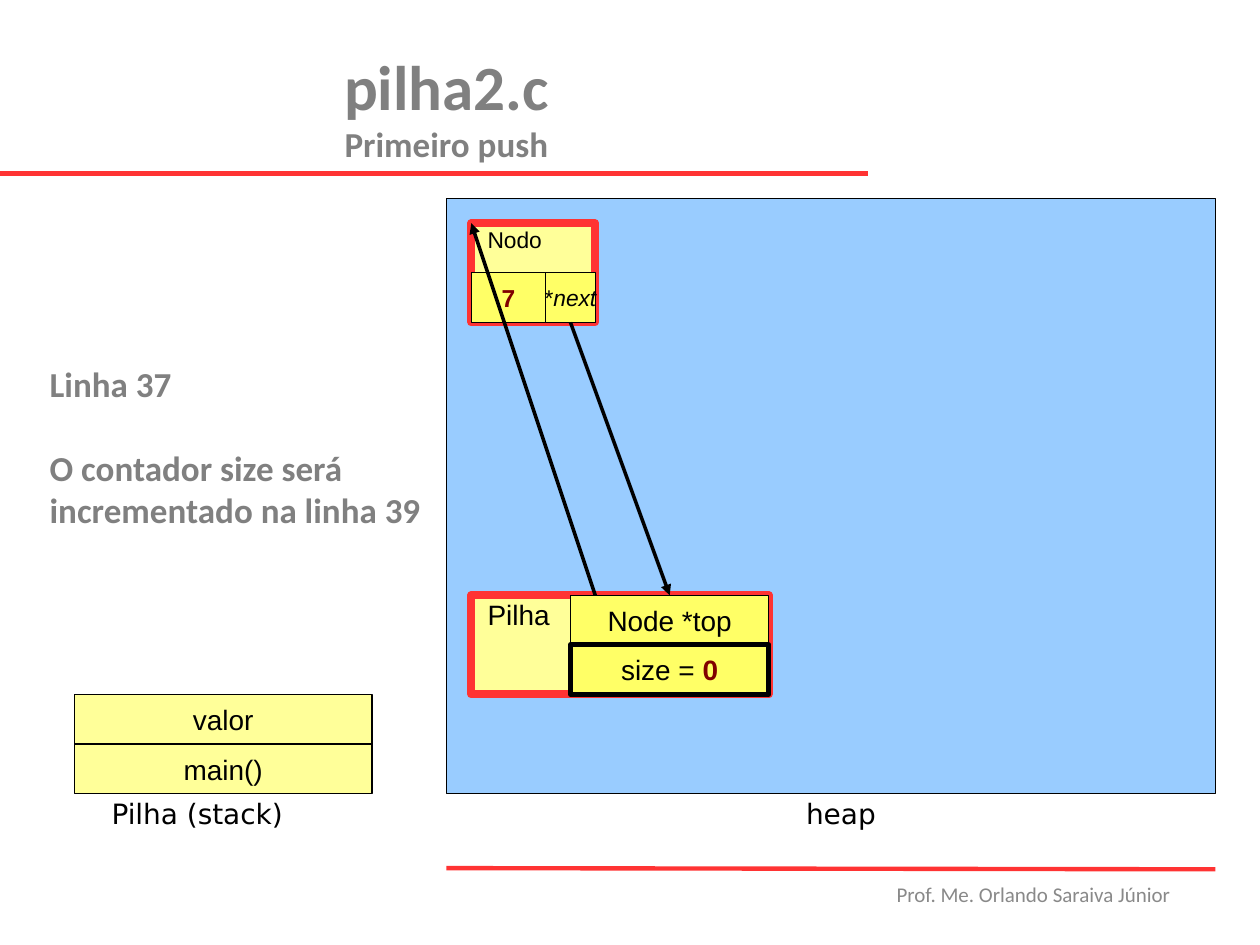
from lxml.etree import SubElement
from pptx import Presentation
from pptx.dml.color import RGBColor
from pptx.enum.shapes import MSO_CONNECTOR, MSO_SHAPE
from pptx.enum.text import MSO_ANCHOR, MSO_AUTO_SIZE, PP_ALIGN
from pptx.oxml.ns import qn
from pptx.util import Cm, Inches, Pt

RED, BLACK, GREY, MAROON = "FF3333", "000000", "808080", "800000"
PALE, YELLOW, BLUE = "FFFF99", "FFFF66", "99CCFF"
HEADING = {"name": "Calibri", "color": GREY, "bold": True, "size": 20}
CAPTION = {"name": "DejaVu Sans"}


def color(value):
    return RGBColor.from_string(value)


def cells(count):
    return Cm(count * 0.5)


class Diagram:
    def __init__(self, page):
        self.page = page
        self.shapes = page.shapes
        self.style = {"name": "Arial", "size": 16, "color": BLACK}

    def set_values(self, item, values):
        for key, value in values.items():
            setattr(item, key, value)

    def place(self, item, column, row, width, height):
        names = ("left", "top", "width", "height")
        self.set_values(item, dict(zip(names, map(cells, (column, row, width, height)))))

    def frame(self, item, anchor, wrap=True, margins=(0.1, 0.05)):
        side, edge = map(Inches, margins)
        self.set_values(item.text_frame, {
            "word_wrap": wrap, "auto_size": MSO_AUTO_SIZE.NONE, "vertical_anchor": anchor,
            "margin_left": side, "margin_right": side,
            "margin_top": edge, "margin_bottom": edge})
        return item.text_frame

    def add_spans(self, para, spans, align, **style):
        para.alignment = align
        for text, changes in spans:
            if text == "\n":
                para.add_line_break()
                continue
            span = para.add_run()
            span.text = text
            values = {**self.style, **style, **changes}
            span.font.color.rgb = color(values.pop("color"))
            values["size"] = Pt(values["size"])
            self.set_values(span.font, values)

    def title(self, area, spans):
        box = self.page.shapes.title
        self.place(box, *area)
        frame = self.frame(box, MSO_ANCHOR.TOP, margins=(0.1, 0.08))
        self.add_spans(frame.paragraphs[0], spans, PP_ALIGN.CENTER, **HEADING)

    def body(self, area, lines):
        box = self.page.placeholders[1]
        self.place(box, *area)
        frame = self.frame(box, MSO_ANCHOR.MIDDLE, margins=(0, 0))
        for index, line in enumerate(lines):
            para = frame.add_paragraph() if index else frame.paragraphs[0]
            properties = para._p.get_or_add_pPr()
            properties.set("marL", "0")
            properties.set("indent", "0")
            SubElement(properties, qn("a:buNone"))
            para.space_before = Pt(24 if index else 0)
            self.add_spans(para, [(line, {})], PP_ALIGN.LEFT, **HEADING)

    def label(self, area, text, align=PP_ALIGN.JUSTIFY, wrap=True, spacing=0.9, **style):
        box = self.shapes.add_textbox(*map(cells, area))
        para = self.frame(box, MSO_ANCHOR.TOP, wrap).paragraphs[0]
        para.line_spacing = spacing
        self.add_spans(para, [(text, {})], align, **style)

    def box(self, area, fill, spans=(), line=BLACK, weight=0, **style):
        box = self.shapes.add_shape(MSO_SHAPE.RECTANGLE, *map(cells, area))
        box.shadow.inherit = False
        box.fill.solid()
        box.fill.fore_color.rgb = color(fill)
        box.line.color.rgb = color(line)
        box.line.width = Pt(weight)
        para = self.frame(box, MSO_ANCHOR.MIDDLE, wrap=False).paragraphs[0]
        self.add_spans(para, spans, PP_ALIGN.CENTER, **style)
        return box

    def record(self, area, name, **style):
        box = self.box(area, PALE, line=RED, weight=4.5)
        frame = self.frame(box, MSO_ANCHOR.TOP, margins=(0.13, 0.02))
        self.add_spans(frame.paragraphs[0], [(name, {})], PP_ALIGN.LEFT, **style)

    def line(self, start, end, stroke=BLACK, weight=0, arrow=False):
        line = self.shapes.add_connector(MSO_CONNECTOR.STRAIGHT, *map(cells, start + end))
        line.line.color.rgb = color(stroke)
        line.line.width = Pt(weight)
        if arrow:
            SubElement(line.line._get_or_add_ln(), qn("a:tailEnd"), type="triangle")
        SubElement(line._element.spPr, qn("a:effectLst"))


def main():
    deck = Presentation()
    deck.slide_width, deck.slide_height = Inches(10), Inches(7.5)
    diagram = Diagram(deck.slides.add_slide(deck.slide_layouts[1]))

    diagram.line((0, 7), (35, 7), RED, 2.5)
    diagram.line((18, 35), (49, 35.05), RED, 2.5)
    diagram.label((35.65, 35.3, 12.05, 2.5), "Prof. Me. Orlando Saraiva Júnior", PP_ALIGN.LEFT,
                  wrap=False, spacing=1, name="Calibri", size=12, color="898989")
    diagram.title((0, 1.5, 36, 6.35),
                  [("pilha2.c", {"size": 36}), ("\n", {}), ("Primeiro push", {})])
    diagram.body((2, 8, 15, 20),
                 ["Linha 37", "O contador size será incrementado na linha 39"])

    diagram.box((18, 8, 31, 24), BLUE)
    diagram.label((32, 32, 16, 3), "heap", **CAPTION)
    diagram.label((4, 32, 12, 3), "Pilha (stack)", **CAPTION)
    for row, name in ((30, "main()"), (28, "valor")):
        diagram.box((3, row, 12, 2), PALE, [(name, {})])

    diagram.record((19, 24, 12, 4), "Pilha")
    diagram.box((23, 24, 8, 2), YELLOW, [("Node *top", {})])
    diagram.box((23, 26, 8, 2), YELLOW,
                [("size = ", {}), ("0", {"color": MAROON, "bold": True})], weight=2.83)

    diagram.shapes = diagram.page.shapes.add_group_shape().shapes
    diagram.record((19, 9, 5, 4), "Nodo", size=13)
    diagram.box((19, 11, 3, 2), YELLOW, [("7", {})], size=14, color=MAROON, bold=True)
    diagram.box((22, 11, 2, 2), YELLOW, [("*", {}), ("next", {"italic": True})], size=13)
    diagram.shapes = diagram.page.shapes

    diagram.line((23, 13), (27, 24), arrow=True)
    diagram.line((24, 24), (19, 9), arrow=True)
    deck.save("out.pptx")


if __name__ == "__main__":
    main()
